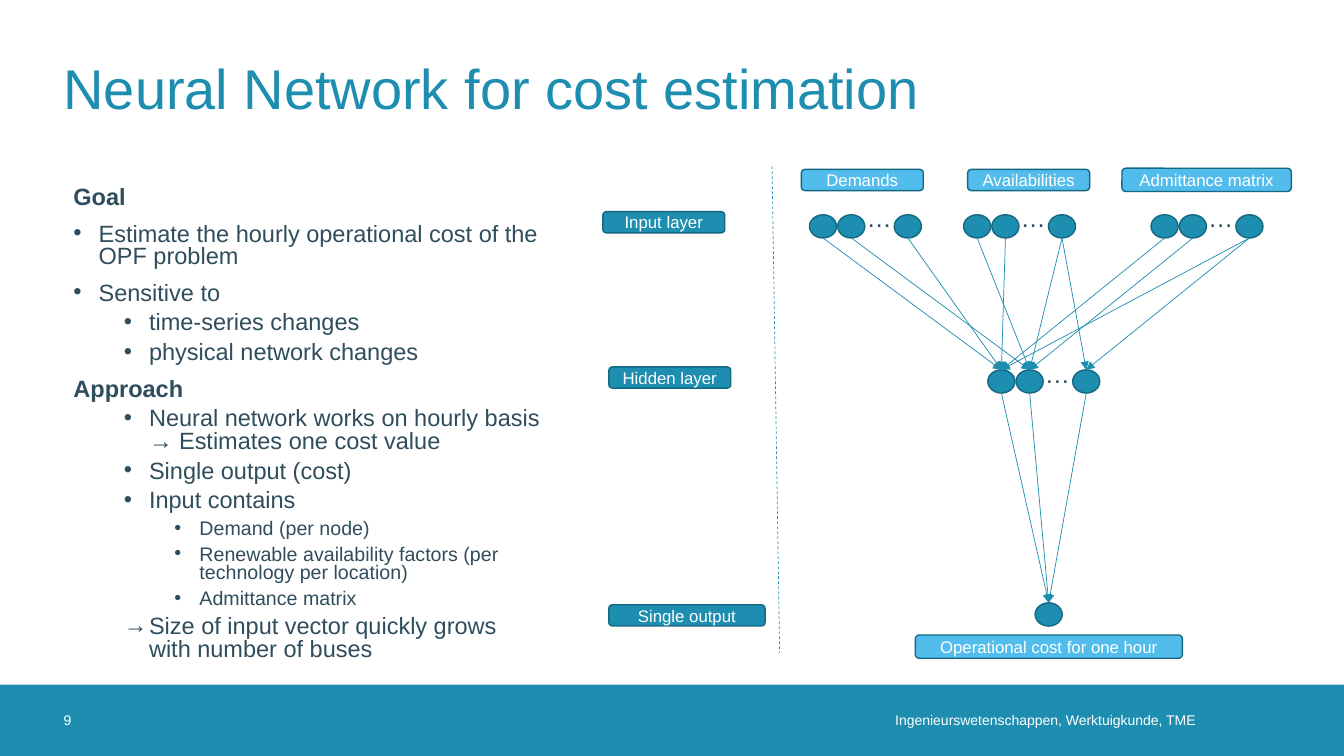
import dataclasses

import lxml.etree
import pptx
import pptx.dml.color
import pptx.enum.dml
import pptx.enum.shapes
import pptx.enum.text
import pptx.oxml.ns
import pptx.util

Pt = pptx.util.Pt
Align = pptx.enum.text.PP_ALIGN
Anchor = pptx.enum.text.MSO_ANCHOR
Preset = pptx.enum.shapes.MSO_SHAPE


@dataclasses.dataclass(frozen=True)
class Theme:
    font: str = "Arial"
    main: str = "1D8DB0"
    edge: str = "156882"
    light: str = "52BDEC"
    ink: str = "2F4D5D"
    white: str = "FFFFFF"
    title_size: float = 40
    dots_size: float = 18
    body_size: float = 16.8
    detail_size: float = 14
    label_size: float = 12
    footer_size: float = 10


THEME = Theme()
NEURON_WIDTH, NEURON_HEIGHT, NEURON_STEP = 19.4, 16.6, 20.2
NEURON_SLOTS = (0, 1, 3)

OUTLINE = [
    ("Goal", 0, None),
    ("Estimate the hourly operational cost of the OPF problem", 0, "•"),
    ("Sensitive to", 0, "•"),
    ("time-series changes", 1, "•"),
    ("physical network changes", 1, "•"),
    ("Approach", 0, None),
    ("Neural network works on hourly basis → Estimates one cost value", 1, "•"),
    ("Single output (cost)", 1, "•"),
    ("Input contains", 1, "•"),
    ("Demand (per node)", 2, "•"),
    ("Renewable availability factors (per technology per location)", 2, "•"),
    ("Admittance matrix", 2, "•"),
    ("Size of input vector quickly grows with number of buses", 1, "→"),
]

LAYER_LABELS = [
    ("Input layer", 430.6, 151.2, 87.1),
    ("Hidden layer", 434.9, 262.1, 87.1),
    ("Single output", 434.9, 432, 111.6),
]

INPUT_GROUPS = [
    ("Demands", (572.4, 121, 87.1, 15.1), 578.2, [(0, 0), (1, 1), (2, 0)]),
    ("Availabilities", (691.2, 121, 87.1, 15.1), 688.3, [(0, 1), (1, 0), (2, 1), (2, 2)]),
    ("Admittance matrix", (801.4, 120.2, 121, 16.6), 822.2, [(0, 0), (1, 1), (2, 0), (2, 2)]),
]


def color(value):
    return pptx.dml.color.RGBColor.from_string(value)


def add_xml(parent, tag, **attributes):
    return lxml.etree.SubElement(parent, pptx.oxml.ns.qn(tag), attributes)


def write(paragraph, content, size, ink, bold=False, align=Align.LEFT):
    paragraph.alignment = align
    run = paragraph.add_run()
    run.text = content
    run.font.name = THEME.font
    run.font.size = Pt(size)
    run.font.bold = bold
    run.font.color.rgb = color(ink)


def set_frame(frame, margins=(0, 0, 0, 0), anchor=Anchor.MIDDLE, wrap=True):
    frame.auto_size = pptx.enum.text.MSO_AUTO_SIZE.NONE
    frame.word_wrap = wrap
    frame.vertical_anchor = anchor
    frame.margin_left, frame.margin_top, frame.margin_right, frame.margin_bottom = map(Pt, margins)
    return frame.paragraphs[0]


def add_box(slide, preset, box, fill, edge=None):
    shape = slide.shapes.add_shape(preset, *map(Pt, box))
    shape.shadow.inherit = False
    shape.fill.solid()
    shape.fill.fore_color.rgb = color(fill)
    if edge:
        shape.line.color.rgb = color(edge)
        shape.line.width = Pt(1)
    else:
        shape.line.fill.background()
    return shape


def add_text_box(slide, box):
    return slide.shapes.add_textbox(*map(Pt, box)).text_frame


def add_label(slide, content, box, fill):
    shape = add_box(slide, Preset.ROUNDED_RECTANGLE, box, fill, THEME.edge)
    paragraph = set_frame(shape.text_frame)
    write(paragraph, content, THEME.label_size, THEME.white, align=Align.CENTER)


def add_line(slide, start, end, arrow=False):
    line = slide.shapes.add_connector(
        pptx.enum.shapes.MSO_CONNECTOR.STRAIGHT, *map(Pt, (*start, *end)))
    line.line.color.rgb = color(THEME.main)
    line.line.width = Pt(0.5)
    if arrow:
        add_xml(line.line._get_or_add_ln(), "a:tailEnd", type="triangle")
    else:
        line.line.dash_style = pptx.enum.dml.MSO_LINE.DASH
    add_xml(line._element.spPr, "a:effectLst")


def add_neuron(slide, left, top):
    add_box(slide, Preset.OVAL, (left, top, NEURON_WIDTH, NEURON_HEIGHT), THEME.main, THEME.edge)
    return left + NEURON_WIDTH / 2


def add_neurons(slide, left, top):
    centers = [add_neuron(slide, left + slot * NEURON_STEP, top) for slot in NEURON_SLOTS]
    frame = add_text_box(slide, (left + 33.6, top - 12.2, 32.4, 28.8))
    paragraph = set_frame(frame, (7.2, 3.6, 7.2, 3.6), wrap=False)
    write(paragraph, "…", THEME.dots_size, THEME.ink, align=Align.CENTER)
    return centers


def add_title(slide, box):
    title = slide.shapes.title
    title.left, title.top, title.width, title.height = map(Pt, box)
    paragraph = set_frame(title.text_frame)
    write(paragraph, "Neural Network for cost estimation", THEME.title_size, THEME.main)


def add_outline(slide, box):
    frame = add_text_box(slide, box)
    set_frame(frame, (7.2, 3.6, 7.2, 3.6), Anchor.TOP)
    for index, (content, level, bullet) in enumerate(OUTLINE):
        paragraph = frame.add_paragraph() if index else frame.paragraphs[0]
        paragraph.level = level
        paragraph.line_spacing = 0.8
        paragraph.space_before = Pt(5 if level else 10)
        size = THEME.detail_size if level == 2 else THEME.body_size
        write(paragraph, content, size, THEME.ink, bold=bullet is None)
        if bullet:
            properties = paragraph._p.get_or_add_pPr()
            properties.set("marL", str(Pt(18 + 36 * level)))
            properties.set("indent", str(-Pt(18)))
            add_xml(properties, "a:buFont", typeface=THEME.font)
            add_xml(properties, "a:buChar", char=bullet)


def add_network(slide, box):
    left, top, width, height = box
    input_top, hidden_top, output_top = top + 34.6, top + 145.4, top + 311.8
    output_left = left + 167

    for content, label_box, group_left, links in INPUT_GROUPS:
        add_label(slide, content, label_box, THEME.light)
    hidden = add_neurons(slide, left + 133.2, hidden_top)
    output = add_neuron(slide, output_left, output_top)
    for content, label_box, group_left, links in INPUT_GROUPS:
        inputs = add_neurons(slide, group_left, input_top)
        for source, target in links:
            add_line(slide, (inputs[source], input_top + NEURON_HEIGHT),
                     (hidden[target], hidden_top), arrow=True)
    for center in hidden:
        add_line(slide, (center, hidden_top + NEURON_HEIGHT), (output, output_top), arrow=True)
    add_label(slide, "Operational cost for one hour",
              (left + 81.4, top + height - 16.6, 190.8, 16.6), THEME.light)


def add_layers(slide):
    for content, left, top, width in LAYER_LABELS:
        add_label(slide, content, (left, top, width, 15.1), THEME.main)
    add_line(slide, (551.5, 118.8), (556.9, 466.6))


def add_footer(slide, box):
    left, top, width, height = box
    add_box(slide, Preset.RECTANGLE, box, THEME.main)
    number = set_frame(add_text_box(slide, (left + 45.4, top, 51, height)))
    write(number, "9", THEME.footer_size, THEME.white)
    unit = set_frame(add_text_box(slide, (left + 475.2, top, 393.1, height)), (0, 0, 14.4, 0))
    write(unit, "Ingenieurswetenschappen, Werktuigkunde, TME",
          THEME.footer_size, THEME.white, align=Align.RIGHT)


def main():
    presentation = pptx.Presentation()
    presentation.slide_width, presentation.slide_height = Pt(960), Pt(540)
    slide = presentation.slides.add_slide(presentation.slide_layouts[5])
    add_footer(slide, (0, 489, 960, 51))
    add_title(slide, (45.4, 16.6, 869, 90.7))
    add_outline(slide, (45.4, 130.3, 348.5, 337))
    add_layers(slide)
    add_network(slide, (572.4, 118.8, 350, 351.4))
    presentation.save("out.pptx")


if __name__ == "__main__":
    main()
